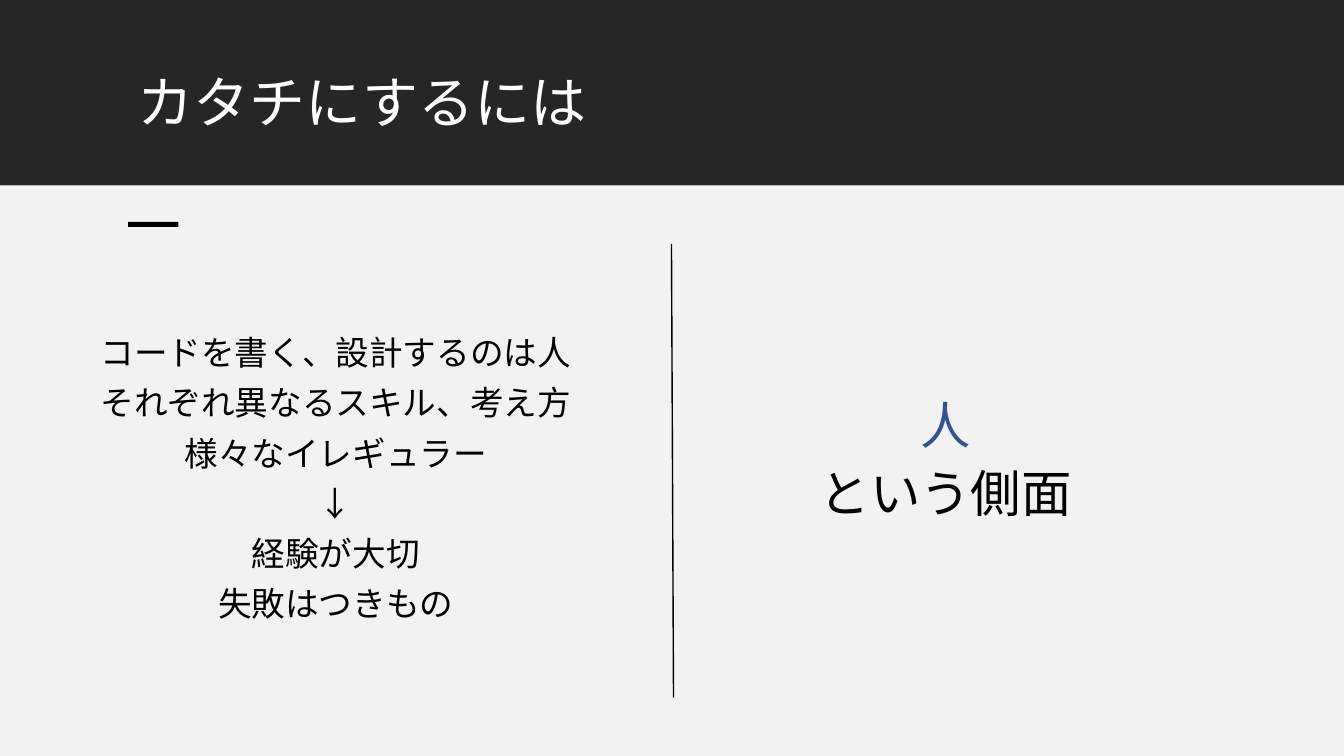
from lxml import etree
from pptx import Presentation
from pptx.dml.color import RGBColor
from pptx.enum.shapes import MSO_CONNECTOR, MSO_SHAPE
from pptx.enum.text import MSO_ANCHOR, PP_ALIGN
from pptx.oxml.ns import qn
from pptx.util import Inches, Pt

RECTANGLE = MSO_SHAPE.RECTANGLE
STRAIGHT = MSO_CONNECTOR.STRAIGHT
TOP, MIDDLE = MSO_ANCHOR.TOP, MSO_ANCHOR.MIDDLE
LEFT, CENTER = PP_ALIGN.LEFT, PP_ALIGN.CENTER

FONT = "Noto Sans CJK JP"
COLORS = {
    "header": "262626",
    "body": "F2F2F2",
    "title": "FFFFFF",
    "text": "000000",
    "accent": "2F5597",
}
EXPERIENCE_LINES = [
    "コードを書く、設計するのは人",
    "それぞれ異なるスキル、考え方",
    "様々なイレギュラー",
    "↓",
    "経験が大切",
    "失敗はつきもの",
]


def color(name):
    """Return the named palette colour."""
    return RGBColor.from_string(COLORS[name])


def add_block(slide, left, top, width, height, fill):
    """Draw a plain filled rectangle."""
    block = slide.shapes.add_shape(
        RECTANGLE, Inches(left), Inches(top), Inches(width), Inches(height))
    block.shadow.inherit = False
    block.fill.solid()
    block.fill.fore_color.rgb = color(fill)
    block.line.fill.background()


def add_lines(slide, left, top, width, height, lines, size,
              align=CENTER, anchor=MIDDLE, space_before=10):
    """Write (wording, colour) pairs as paragraphs in the given box."""
    frame = slide.shapes.add_textbox(
        Inches(left), Inches(top), Inches(width), Inches(height)).text_frame
    frame.word_wrap = True
    frame.vertical_anchor = anchor
    for index, (wording, tint) in enumerate(lines):
        paragraph = frame.add_paragraph() if index else frame.paragraphs[0]
        paragraph.text = wording
        paragraph.alignment = align
        paragraph.line_spacing = 0.9
        paragraph.space_before = Pt(space_before)
        paragraph.font.size = Pt(size)
        paragraph.font.name = FONT
        paragraph.font.color.rgb = color(tint)
        defaults = paragraph._p.pPr.find(qn("a:defRPr"))
        etree.SubElement(defaults, qn("a:ea")).set("typeface", FONT)


def add_header(slide, left, top, width, height):
    """Draw the dark band with the slide title."""
    add_block(slide, left, top, width, height, "header")
    add_lines(slide, left + 1.27, top + 0.71, 10.81, 0.98,
              [("カタチにするには", "title")], 40, LEFT, TOP, 0)


def add_divider(slide, left, top, width, height):
    """Draw the thin line between the two columns."""
    divider = slide.shapes.add_connector(
        STRAIGHT, Inches(left), Inches(top),
        Inches(left + width), Inches(top + height))
    divider.line.color.rgb = color("text")
    divider.line.width = Pt(1)
    etree.SubElement(divider._element.spPr, qn("a:effectLst"))


def add_body(slide, left, top, width, height):
    """Draw the light area with its accent dash and two columns."""
    add_block(slide, left, top, width, height, "body")
    add_block(slide, left + 1.27, top + 0.35, 0.5, 0.05, "text")
    add_divider(slide, left + 6.66, top + 0.57, 0.02, 4.5)
    add_lines(slide, left + 6.68, top + 0.57, 5.4, 4.33,
              [("人", "accent"), ("という側面", "text")], 36)
    add_lines(slide, left + 0.63, top + 0.75, 5.4, 4.33,
              [(line, "text") for line in EXPERIENCE_LINES], 24)


def main():
    """Build and save the slide."""
    presentation = Presentation()
    presentation.slide_width = Inches(13.33)
    presentation.slide_height = Inches(7.5)
    slide = presentation.slides.add_slide(presentation.slide_layouts[6])
    add_header(slide, 0, -0.01, 13.33, 1.85)
    add_body(slide, 0, 1.85, 13.33, 5.65)
    presentation.save("out.pptx")


if __name__ == "__main__":
    main()
